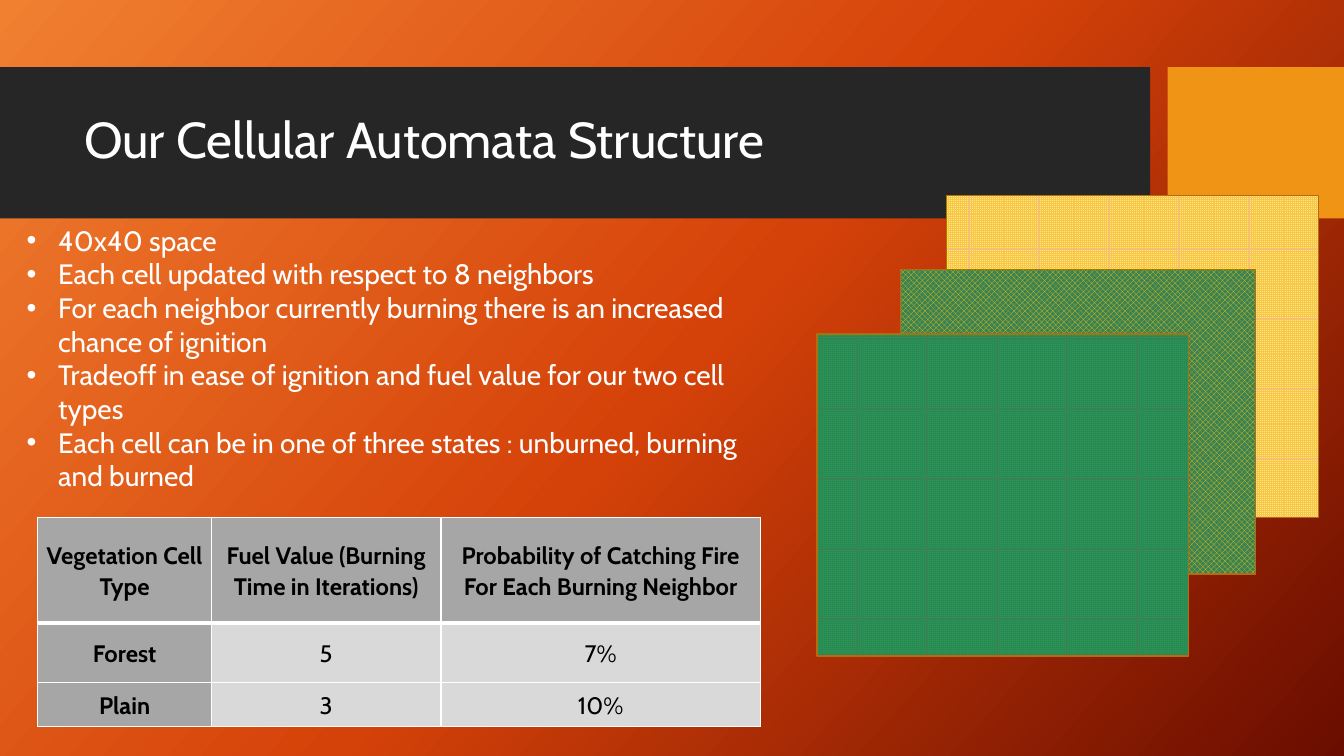
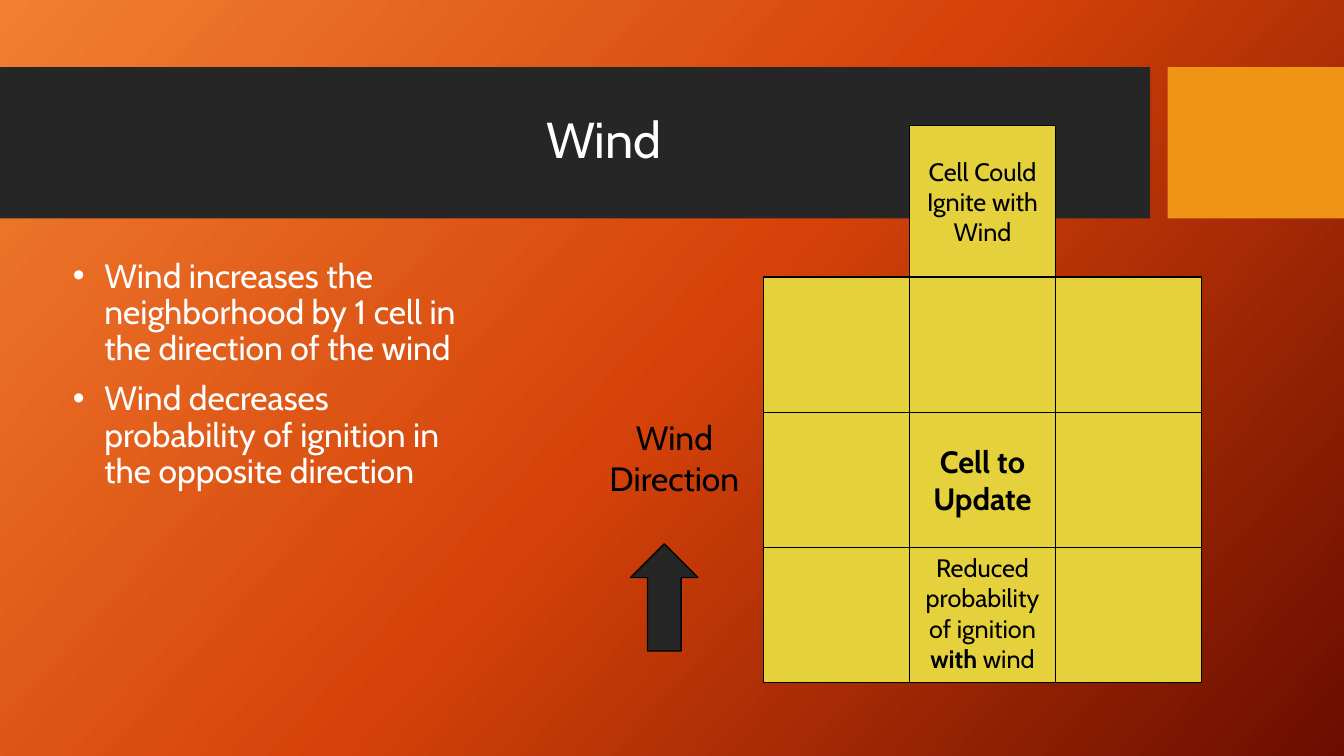
from itertools import product

from pptx import Presentation
from pptx.dml.color import RGBColor
from pptx.enum.dml import MSO_PATTERN as Pattern
from pptx.enum.shapes import MSO_SHAPE as Shape
from pptx.enum.text import MSO_ANCHOR as Anchor, PP_ALIGN as Align
from pptx.oxml import parse_xml
from pptx.oxml.ns import nsdecls, qn
from pptx.util import Pt

FONT = "Cabin"
WHITE, BLACK, DARK, ORANGE = "FFFFFF", "000000", "262626", "F09415"
YELLOW, BROWN, GREY, PALE = "E5D13B", "B26D10", "A6A6A6", "D9D9D9"
GRADIENT = [(0, "F18031"), (50, "D54209"), (100, "6A0D00")]
GRADIENT_ANGLE = 42
BANDS = [((0, 48, 821.5, 108), DARK), ((834, 48, 126, 108), ORANGE)]
TITLE_BOX = (53, 59, 757, 85)

STRUCTURE = [
    "40x40 space",
    "Each cell updated with respect to 8 neighbors",
    "For each neighbor currently burning there is an increased chance of ignition",
    "Tradeoff in ease of ignition and fuel value for our two cell types",
    "Each cell can be in one of three states : unburned, burning and burned",
]
LAYERS = [
    ((676, 139.5, 266, 230), Pattern.SMALL_GRID, "F6BF73", "FFFF00"),
    ((643, 192.5, 254, 217.5), Pattern.LARGE_CHECKER_BOARD, "FFC000", "388356"),
    ((583.5, 238.5, 265.5, 230), Pattern.SMALL_GRID, "388356", "00B050"),
]
VEGETATION = [
    ["Vegetation Cell Type", "Fuel Value (Burning Time in Iterations)",
     "Probability of Catching Fire For Each Burning Neighbor"],
    ["Forest", "5", "7%"],
    ["Plain", "3", "10%"],
]
COLUMNS, ROWS = [124, 164, 228], [75.5, 42.5, 31.5]
TABLE_LEFT, TABLE_TOP = 27, 369.5

WIND = [
    "Wind increases the neighborhood by 1 cell in the direction of the wind",
    "Wind decreases probability of ignition in the opposite direction",
]
GRID_LEFT, GRID_TOP, CELL_W, CELL_H = 545.5, 198, 104.2, 96.5
AHEAD_H = 108.5
CELL_TEXTS = {
    (1, 1): dict(text="Cell to Update", size=22, bold=True, anchor=Anchor.MIDDLE),
    (2, 1): dict(text=[[("Reduced probability of ignition ", False),
                        ("with", True), (" wind", False)]], size=18),
}


def rgb(value):
    """Return the colour for a hex string."""
    return RGBColor.from_string(value)


def write(tf, text, size=20, color=WHITE, bold=False, align=Align.LEFT,
          anchor=Anchor.TOP, spacing=None, before=0, bullet=False):
    """Fill a text frame from a string or a list of paragraphs, each a string or runs."""
    tf.word_wrap = True
    tf.vertical_anchor = anchor
    for i, runs in enumerate([text] if isinstance(text, str) else text):
        p = tf.paragraphs[0] if i == 0 else tf.add_paragraph()
        p.alignment, p.space_before = align, Pt(before)
        if spacing:
            p.line_spacing = spacing
        if bullet:
            pPr = p._p.get_or_add_pPr()
            pPr.set("marL", str(Pt(22.5)))
            pPr.set("indent", str(-Pt(22.5)))
            pPr.append(parse_xml(f'<a:buFont {nsdecls("a")} typeface="Arial"/>'))
            pPr.append(parse_xml(f'<a:buChar {nsdecls("a")} char="•"/>'))
        for content, strong in [(runs, bold)] if isinstance(runs, str) else runs:
            r = p.add_run()
            r.text = content
            r.font.name, r.font.size, r.font.bold = FONT, Pt(size), strong
            r.font.color.rgb = rgb(color)


def add_text(s, box, text, **style):
    """Add a text box."""
    write(s.shapes.add_textbox(*map(Pt, box)).text_frame, text, **style)


def add_block(s, box, fill=None, line=None, kind=Shape.RECTANGLE):
    """Add a flat preset shape."""
    sp = s.shapes.add_shape(kind, *map(Pt, box))
    sp.shadow.inherit = False
    if fill:
        sp.fill.solid()
        sp.fill.fore_color.rgb = rgb(fill)
    if line:
        sp.line.color.rgb = rgb(line)
        sp.line.width = Pt(1)
    else:
        sp.line.fill.background()
    return sp


def add_slide(prs, title, align=Align.LEFT):
    """Add a slide with the shared background, bands and title."""
    s = prs.slides.add_slide(prs.slide_layouts[6])
    fill = s.background.fill
    fill.gradient()
    fill.gradient_angle = 360 - GRADIENT_ANGLE
    stops = next(s.element.iter(qn("a:gsLst")))
    for stop in list(stops):
        stops.remove(stop)
    for position, color in GRADIENT:
        stops.append(parse_xml(f'<a:gs {nsdecls("a")} pos="{position * 1000}">'
                               f'<a:srgbClr val="{color}"/></a:gs>'))
    for box, color in BANDS:
        add_block(s, box, color)
    add_text(s, TITLE_BOX, title, size=36, align=align, anchor=Anchor.MIDDLE, spacing=0.9)
    return s


def set_borders(cell, bottom):
    """Draw white borders around a table cell."""
    tcPr = cell._tc.get_or_add_tcPr()
    for i, (side, width) in enumerate(zip("LRTB", (1, 1, 1, bottom))):
        tcPr.insert(i, parse_xml(
            f'<a:ln{side} {nsdecls("a")} w="{Pt(width)}"><a:solidFill>'
            f'<a:srgbClr val="{WHITE}"/></a:solidFill></a:ln{side}>'))


def add_vegetation_table(s):
    """Add the table of vegetation types."""
    box = TABLE_LEFT, TABLE_TOP, sum(COLUMNS), sum(ROWS)
    table = s.shapes.add_table(len(ROWS), len(COLUMNS), *map(Pt, box)).table
    for column, width in zip(table.columns, COLUMNS):
        column.width = Pt(width)
    for row, height in zip(table.rows, ROWS):
        row.height = Pt(height)
    for i, j in product(range(len(ROWS)), range(len(COLUMNS))):
        cell = table.cell(i, j)
        heading = i == 0 or j == 0
        cell.margin_left = cell.margin_right = Pt(5)
        cell.margin_top = cell.margin_bottom = 0
        cell.fill.solid()
        cell.fill.fore_color.rgb = rgb(GREY if heading else PALE)
        write(cell.text_frame, VEGETATION[i][j], size=17, color=BLACK,
              bold=heading, align=Align.CENTER, spacing=1.07)
        cell.vertical_anchor = Anchor.MIDDLE
        set_borders(cell, bottom=3 if i == 0 else 1)


def build_structure(prs):
    """Build the slide on the automata structure."""
    s = add_slide(prs, "Our Cellular Automata Structure")
    add_text(s, (12, 156, 552, 201), STRUCTURE, bullet=True)
    for box, pattern, front, back in LAYERS:
        fill = add_block(s, box, line=BROWN).fill
        fill.patterned()
        fill.pattern = pattern
        fill.fore_color.rgb, fill.back_color.rgb = rgb(front), rgb(back)
    add_vegetation_table(s)


def build_wind(prs):
    """Build the slide on wind."""
    s = add_slide(prs, "Wind", align=Align.CENTER)
    add_text(s, (45, 181.5, 305, 284), WIND, size=24, spacing=0.9, before=10, bullet=True)
    centred = dict(color=BLACK, align=Align.CENTER)
    ahead = add_block(s, (GRID_LEFT + CELL_W, GRID_TOP - AHEAD_H, CELL_W, AHEAD_H),
                      YELLOW, BLACK)
    write(ahead.text_frame, "Cell Could Ignite with Wind", size=18,
          anchor=Anchor.MIDDLE, **centred)
    for row, col in product(range(3), repeat=2):
        box = GRID_LEFT + col * CELL_W, GRID_TOP + row * CELL_H, CELL_W, CELL_H
        sp = add_block(s, box, YELLOW, BLACK)
        if (row, col) in CELL_TEXTS:
            write(sp.text_frame, **CELL_TEXTS[row, col], **centred)
    add_text(s, (418, 294.5, 127.5, 94), "Wind Direction", size=24, **centred)
    add_block(s, (450.5, 388.5, 48, 76.5), DARK, BLACK, Shape.UP_ARROW)


def main():
    """Build and save the presentation."""
    prs = Presentation()
    prs.slide_width, prs.slide_height = Pt(960), Pt(540)
    build_structure(prs)
    build_wind(prs)
    prs.save("out.pptx")


if __name__ == "__main__":
    main()
